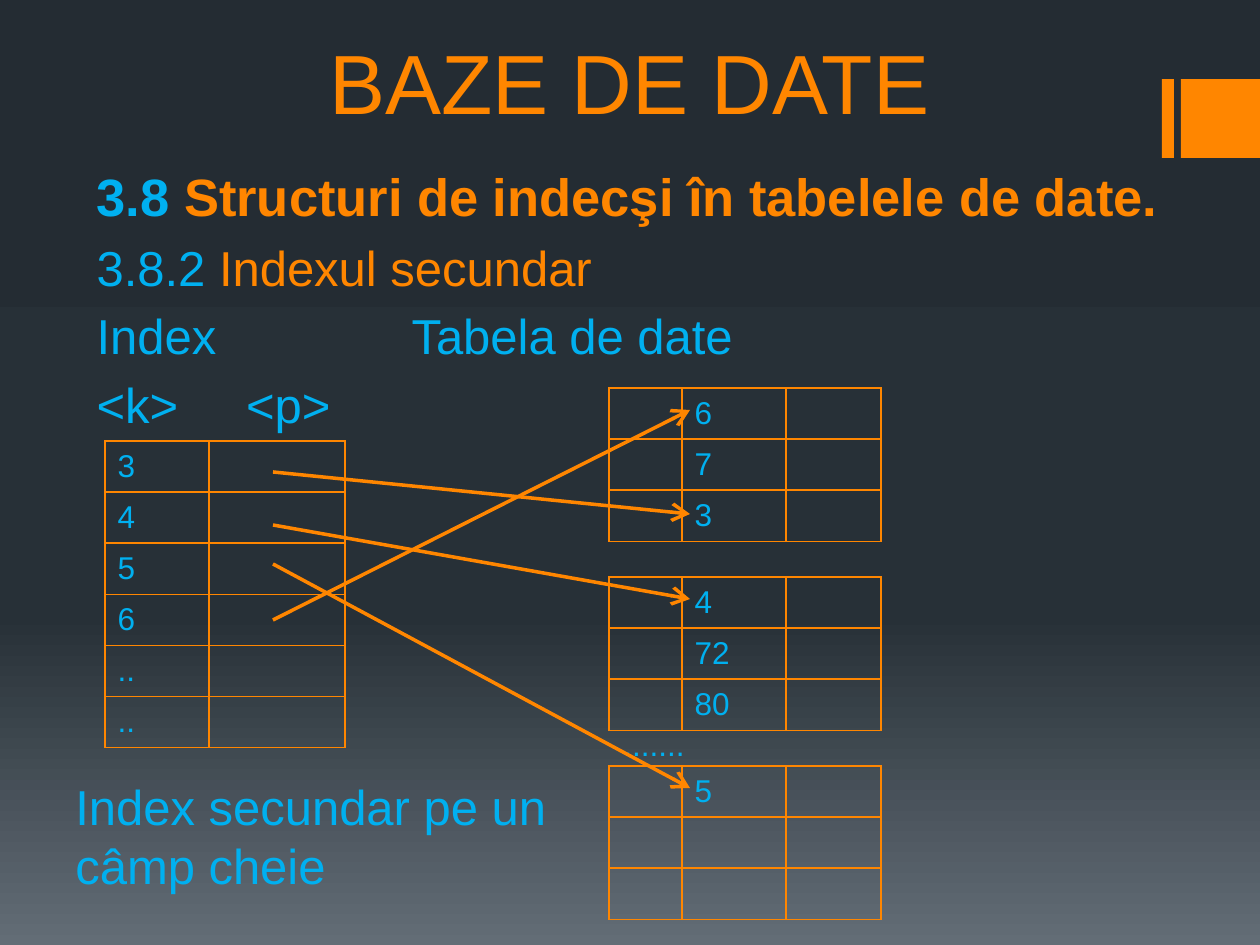
from dataclasses import dataclass
from typing import Any

from pptx import Presentation, util as u
from pptx.dml.color import RGBColor
from pptx.enum import shapes as es, text as et
from pptx.oxml import parse_xml
from pptx.oxml.ns import nsdecls, qn


@dataclass(frozen=True)
class Theme:
    accent: str = "FF8600"
    ink: str = "00B0F0"
    font: str = "Arial"
    title: int = 48
    head: int = 30
    body: int = 28
    cell: int = 18
    back: tuple = ((0, "242C33"), (65, "273037"), (100, "636D76"))


@dataclass(frozen=True)
class Box:
    x: int
    y: int
    w: int
    h: int


@dataclass(frozen=True)
class Run:
    text: str
    color: str
    size: int
    bold: bool = False
    track: int = 0


@dataclass(frozen=True)
class Grid:
    x: int
    y: int
    cols: tuple[int, ...]
    rows: tuple[tuple[str, ...], ...]


@dataclass(frozen=True)
class Arrow:
    x1: int
    y1: int
    x2: int
    y2: int


THEME = Theme()
SCALE = 914400 / 126
ROW = 51


def px(n: int) -> u.Emu:
    return u.Emu(round(n * SCALE))


def place(box: Box) -> tuple[u.Emu, ...]:
    return px(box.x), px(box.y), px(box.w), px(box.h)


def apply(obj: Any, form: dict[str, Any]) -> None:
    for name, value in form.items():
        setattr(obj, name, value)


def write(para: Any, runs: list[Run], **form: Any) -> None:
    apply(para, form)
    for item in runs:
        run = para.add_run()
        run.text = item.text
        apply(run.font, {"name": THEME.font, "size": u.Pt(item.size), "bold": item.bold})
        run.font.color.rgb = RGBColor.from_string(item.color)
        if item.track:
            run._r.get_or_add_rPr().set("spc", str(item.track * 100))


def move(shape: Any, box: Box, anchor: Any) -> Any:
    apply(shape, dict(zip(("left", "top", "width", "height"), place(box))))
    frame = shape.text_frame
    apply(frame, {"word_wrap": True, "auto_size": et.MSO_AUTO_SIZE.NONE,
                  "vertical_anchor": anchor})
    return frame


def add_back(slide: Any) -> None:
    stops = "".join(f'<a:gs pos="{pos * 1000}"><a:srgbClr val="{color}"/></a:gs>'
                    for pos, color in THEME.back)
    slide.element.cSld.insert(0, parse_xml(
        f'<p:bg {nsdecls("p", "a")}><p:bgPr><a:gradFill rotWithShape="1">'
        f'<a:gsLst>{stops}</a:gsLst><a:lin ang="5400000" scaled="0"/></a:gradFill>'
        '<a:effectLst/></p:bgPr></p:bg>'))


def add_bar(slide: Any, box: Box) -> None:
    bar = slide.shapes.add_shape(es.MSO_SHAPE.RECTANGLE, *place(box))
    bar.shadow.inherit = False
    bar.fill.solid()
    bar.fill.fore_color.rgb = RGBColor.from_string(THEME.accent)
    bar.line.fill.background()


def add_grid(slide: Any, grid: Grid) -> None:
    count = len(grid.rows)
    box = Box(grid.x, grid.y, sum(grid.cols), count * ROW)
    table = slide.shapes.add_table(count, len(grid.cols), *place(box)).table
    apply(table, {"first_row": False, "horz_banding": False})
    for col, width in zip(table.columns, grid.cols):
        col.width = px(width)
    for row, words in zip(table.rows, grid.rows):
        row.height = px(ROW)
        for cell, word in zip(row.cells, words):
            cell.vertical_anchor = et.MSO_ANCHOR.MIDDLE
            for side in "LRTB":
                cell._tc.get_or_add_tcPr().append(parse_xml(
                    f'<a:ln{side} {nsdecls("a")} w="12700"><a:solidFill>'
                    f'<a:srgbClr val="{THEME.accent}"/></a:solidFill></a:ln{side}>'))
            cell.fill.background()
            if word:
                write(cell.text_frame.paragraphs[0], [Run(word, THEME.ink, THEME.cell)])


def add_arrow(slide: Any, arrow: Arrow) -> None:
    ends = map(px, (arrow.x1, arrow.y1, arrow.x2, arrow.y2))
    line = slide.shapes.add_connector(es.MSO_CONNECTOR.STRAIGHT, *ends)
    line.line.color.rgb = RGBColor.from_string(THEME.accent)
    line.line.width = u.Pt(2)
    props = line._element.spPr
    props.find(qn("a:ln")).append(parse_xml(
        f'<a:tailEnd {nsdecls("a")} type="arrow" w="lg" len="lg"/>'))
    props.append(parse_xml(f'<a:effectLst {nsdecls("a")}/>'))


def add_note(slide: Any, box: Box, run: Run) -> None:
    note = slide.shapes.add_textbox(*place(box))
    frame = move(note, box, et.MSO_ANCHOR.TOP)
    write(frame.paragraphs[0], [run])


def fill_body(frame: Any) -> None:
    ink, accent, size = THEME.ink, THEME.accent, THEME.body
    lines = [
        [Run("3.8 ", ink, THEME.head, True),
         Run("Structuri de indecşi în tabelele de date.", accent, THEME.head, True)],
        [Run("3.8.2 ", ink, size), Run("Indexul secundar", accent, size)],
        [Run("Index\t\t\t\tTabela de date", ink, size)],
        [Run("<k>", ink, size), Run(" ", ink, size, track=31), Run("<p>", ink, size)],
    ]
    for i, runs in enumerate(lines):
        para = frame.add_paragraph() if i else frame.paragraphs[0]
        write(para, runs, space_before=u.Pt(5.6 if i else 0),
              alignment=et.PP_ALIGN.JUSTIFY if i else et.PP_ALIGN.LEFT)


def main() -> None:
    deck = Presentation()
    apply(deck, {"slide_width": px(1260), "slide_height": px(945)})
    slide = deck.slides.add_slide(deck.slide_layouts[0])
    add_back(slide)
    for x, width in ((1162, 12), (1181, 79)):
        add_bar(slide, Box(x, 79, width, 79))

    title = move(slide.shapes.title, Box(94, 0, 1071, 138), et.MSO_ANCHOR.BOTTOM)
    write(title.paragraphs[0], [Run("BAZE DE DATE", THEME.accent, THEME.title)],
          alignment=et.PP_ALIGN.CENTER)
    fill_body(move(slide.placeholders[1], Box(84, 158, 1092, 703), et.MSO_ANCHOR.TOP))

    keys = ("3", "4", "5", "6", "..", "..")
    add_grid(slide, Grid(105, 441, (104, 136), tuple((key, "") for key in keys)))
    blocks = (("6", "7", "3"), ("4", "72", "80"), ("5", "", ""))
    for i, block in enumerate(blocks):
        rows = tuple(("", key, "") for key in block)
        add_grid(slide, Grid(609, 388 + 189 * i, (73, 104, 95), rows))

    add_note(slide, Box(611, 719, 158, 50), Run(".......", THEME.ink, THEME.cell))
    for y1, y2 in ((620, 410), (525, 599), (564, 788), (472, 514)):
        add_arrow(slide, Arrow(273, y1, 690, y2))
    add_note(slide, Box(63, 770, 501, 131),
             Run("Index secundar pe un câmp cheie", THEME.ink, THEME.body))
    deck.save("out.pptx")


if __name__ == "__main__":
    main()
